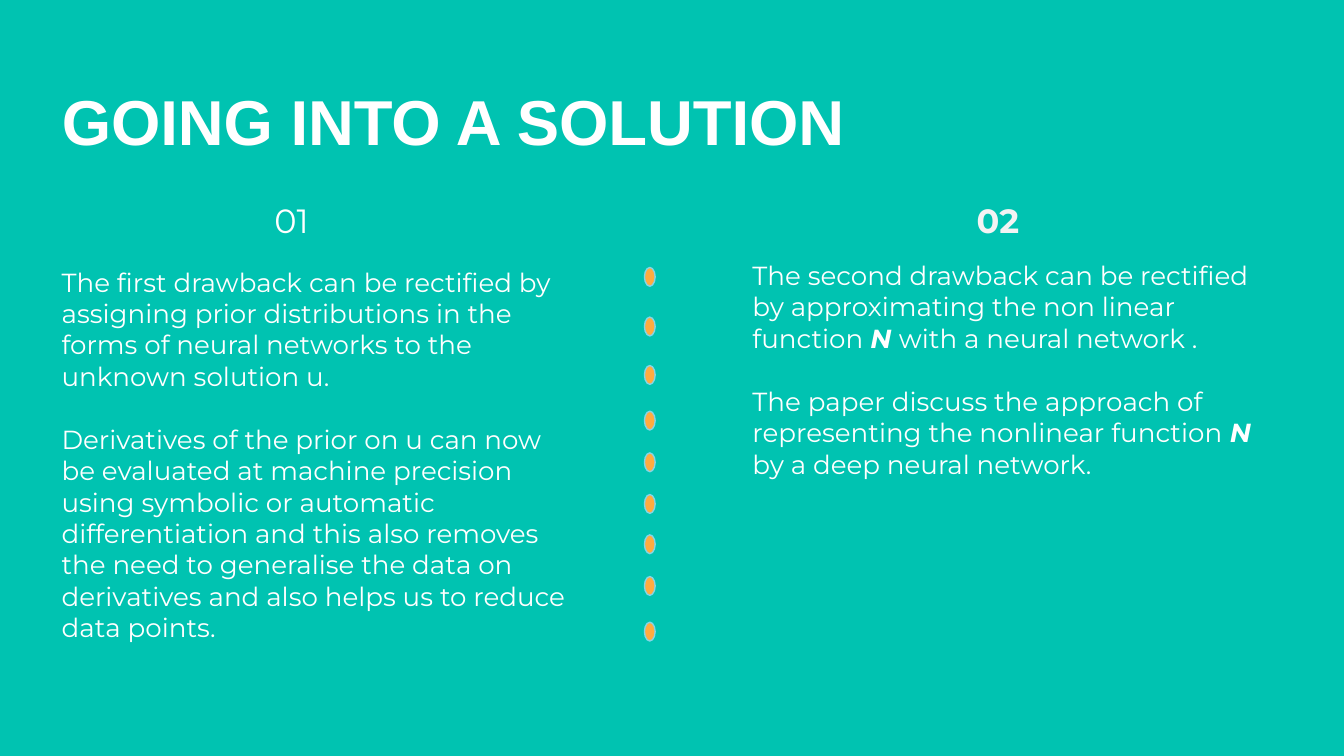
from dataclasses import dataclass

from pptx import Presentation
from pptx import util as u
from pptx.dml.color import RGBColor
from pptx.enum import shapes, text

TEAL = RGBColor(0x00, 0xC3, 0xB1)
WHITE = RGBColor(0xFF, 0xFF, 0xFF)
PALE = RGBColor(0xF3, 0xF3, 0xF3)
ORANGE = RGBColor(0xFF, 0xAB, 0x40)
SKY = RGBColor(0x85, 0xD5, 0xE6)

WIDTH = u.Inches(10)
HEIGHT = WIDTH * 9 // 16
COLUMN = ROW = WIDTH / 100
TITLE_FORMAT = {"name": "Arial", "size": u.Pt(34), "bold": True}
BODY_FORMAT = {"name": "Montserrat", "size": u.Pt(14)}
NUMBER_FORMAT = {"name": "Montserrat", "size": u.Pt(18)}
STRONG = {"bold": True, "italic": True}
PARAGRAPH_GAP = u.Pt(17)


@dataclass(frozen=True)
class Area:
    column: float
    row: float
    columns: float
    rows: float

    def place(self) -> tuple[int, int, int, int]:
        return (round(self.column * COLUMN), round(self.row * ROW),
                round(self.columns * COLUMN), round(self.rows * ROW))


@dataclass(frozen=True)
class Solution:
    number: str
    number_area: Area
    number_color: RGBColor
    number_bold: bool
    body_area: Area
    paragraphs: tuple[tuple[str, ...], ...]


TITLE_AREA = Area(3.6, 5.1, 63.6, 7.7)
DOT_COLUMN, DOT_COLUMNS, DOT_ROWS = 47.95, 0.8, 1.4
DOT_TOPS = (19.9, 23.6, 27.2, 30.6, 33.7, 36.8, 39.8, 42.9, 46.3)

SOLUTIONS = (
    Solution("01", Area(17.8, 13.9, 7.8, 5), WHITE, False,
             Area(3.6, 18.8, 39.8, 32.7), (
                 ("The first drawback can be rectified by assigning prior "
                  "distributions in the forms of neural networks to the "
                  "unknown solution u.",),
                 ("Derivatives of the prior on u can now be evaluated at "
                  "machine precision using symbolic or automatic "
                  "differentiation and this also removes the need to "
                  "generalise the data on derivatives and also helps us to "
                  "reduce data points.",))),
    Solution("02", Area(70.8, 13.9, 6.9, 5), PALE, True,
             Area(55, 18.3, 39.8, 20.9), (
                 ("The second drawback can be rectified by approximating "
                  "the non linear function ", "N ",
                  "with a neural network ."),
                 ("The paper discuss the approach of representing the "
                  "nonlinear function ", "N",
                  " by a deep neural network."))),
)


def apply_font(font, formats: dict, color: RGBColor) -> None:
    for attribute, value in formats.items():
        setattr(font, attribute, value)
    font.color.rgb = color


def prepare_frame(frame) -> None:
    margins = dict.fromkeys(
        ("margin_left", "margin_right", "margin_top", "margin_bottom"),
        u.Inches(0.1))
    settings = {**margins, "word_wrap": True,
                "vertical_anchor": text.MSO_ANCHOR.TOP,
                "auto_size": text.MSO_AUTO_SIZE.SHAPE_TO_FIT_TEXT}
    for attribute, value in settings.items():
        setattr(frame, attribute, value)


def add_frame(slide, area: Area):
    frame = slide.shapes.add_textbox(*area.place()).text_frame
    prepare_frame(frame)
    return frame


def set_title(slide, wording: str) -> None:
    title = slide.shapes.title
    title.left, title.top, title.width, title.height = TITLE_AREA.place()
    prepare_frame(title.text_frame)
    heading = title.text_frame.paragraphs[0]
    heading.alignment = text.PP_ALIGN.LEFT
    run = heading.add_run()
    run.text = wording
    apply_font(run.font, TITLE_FORMAT, WHITE)


def draw_solution(slide, solution: Solution) -> None:
    number = add_frame(slide, solution.number_area).paragraphs[0]
    number.alignment = text.PP_ALIGN.CENTER
    run = number.add_run()
    run.text = solution.number
    apply_font(run.font, {**NUMBER_FORMAT, "bold": solution.number_bold},
               solution.number_color)

    body = add_frame(slide, solution.body_area)
    for index, parts in enumerate(solution.paragraphs):
        if index:
            paragraph = body.add_paragraph()
            paragraph.space_before = PARAGRAPH_GAP
        else:
            paragraph = body.paragraphs[0]
        for position, part in enumerate(parts):
            run = paragraph.add_run()
            run.text = part
            emphasis = STRONG if position % 2 else {}
            apply_font(run.font, {**BODY_FORMAT, **emphasis}, WHITE)


def draw_dot(slide, row: float) -> None:
    dot = slide.shapes.add_shape(
        shapes.MSO_SHAPE.FLOWCHART_CONNECTOR,
        *Area(DOT_COLUMN, row, DOT_COLUMNS, DOT_ROWS).place())
    dot.shadow.inherit = False
    dot.fill.solid()
    dot.fill.fore_color.rgb = ORANGE
    dot.line.color.rgb = SKY
    dot.line.width = u.Pt(0.75)


def main() -> None:
    deck = Presentation()
    deck.slide_width, deck.slide_height = WIDTH, HEIGHT
    slide = deck.slides.add_slide(deck.slide_layouts.get_by_name("Title Only"))
    slide.background.fill.solid()
    slide.background.fill.fore_color.rgb = TEAL
    set_title(slide, "GOING INTO A SOLUTION")
    for row in DOT_TOPS:
        draw_dot(slide, row)
    for solution in SOLUTIONS:
        draw_solution(slide, solution)
    deck.save("out.pptx")


if __name__ == "__main__":
    main()
